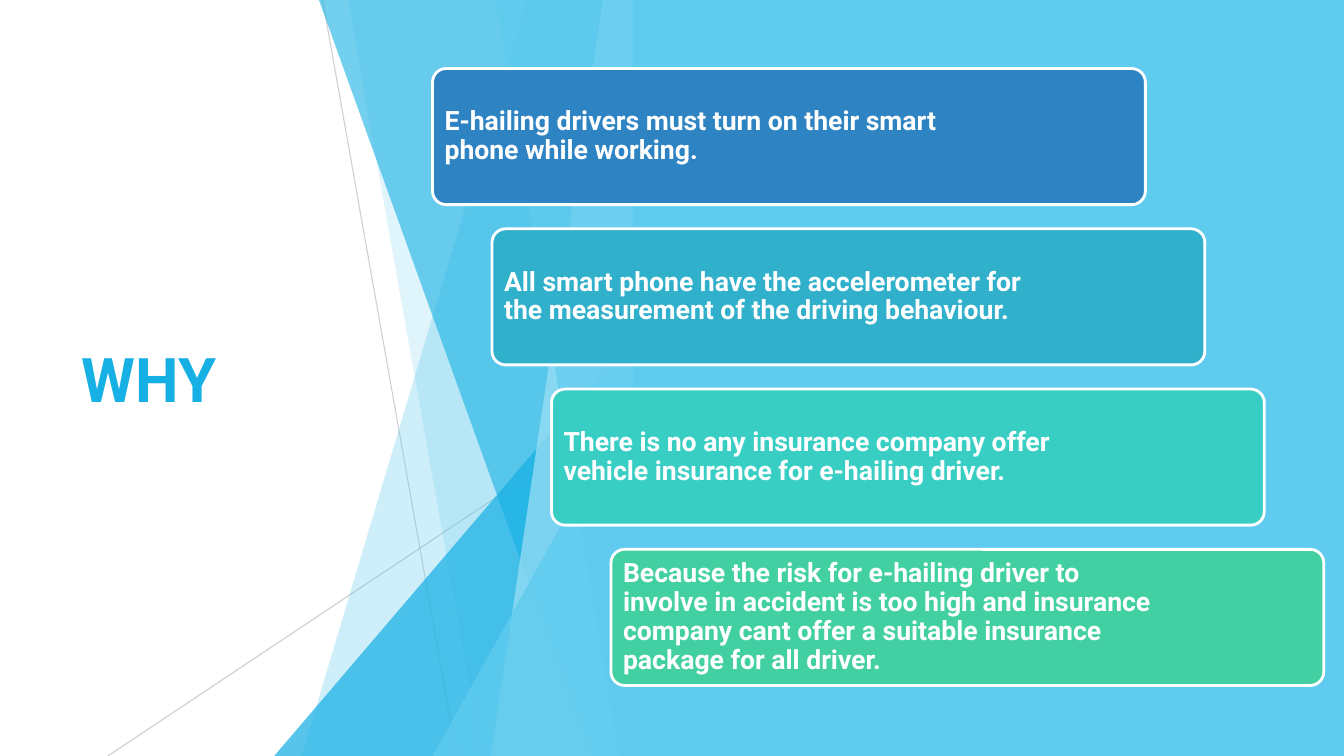
from lxml import etree
from pptx import Presentation, util as u
from pptx.dml.color import RGBColor
from pptx.enum import shapes, text
from pptx.oxml.ns import qn

COLORS = {
    "white": "FFFFFF", "rule": "BFBFBF", "sky": "5FCBEF", "azure": "17B0E4",
    "pale": "9FE0F5", "blue": "2E83C3", "teal": "31B0CB",
    "turquoise": "39CEC4", "green": "42D0A2",
}
WIDTH, HEIGHT = 13.33, 7.5
PANEL_LEFT = 6.28
FACET_TOP = -0.01

RULES = [((3.2, 0), (4.53, HEIGHT), 75), ((PANEL_LEFT, 4.03), (1.07, HEIGHT), 80)]
FACETS = [
    ("band", 5.23, 2.99, "sky", 30),
    ("band", 3.45, 4.78, "sky", 20),
    ("wedge", 3.33, 2.72, "azure", 72),
    ("band", 3.16, 5.86, "azure", 60),
    ("band", 5.98, 4.87, "pale", 70),
    ("band", 4.91, 6.13, "sky", 65),
    ("wedge", 3.93, 4.29, "sky", 80),
]
REASONS = [
    ("blue", "E-hailing drivers must turn on their smart phone while working."),
    ("teal", "All smart phone have the accelerometer for the measurement of the driving behaviour."),
    ("turquoise", "There is no any insurance company offer vehicle insurance for e-hailing driver."),
    ("green", "Because the risk for e-hailing driver to involve in accident is too high and "
              "insurance company cant offer a suitable insurance package for all driver."),
]


class SlideBuilder:
    """Draws styled elements on one slide."""

    font_name = "Roboto"

    def __init__(self, slide):
        self.shapes = slide.shapes

    def paint(self, color_format, color, opacity=100):
        color_format.rgb = RGBColor.from_string(COLORS[color])
        if opacity < 100:
            hex_color = color_format._xFill.find(qn("a:srgbClr"))
            etree.SubElement(hex_color, qn("a:alpha"), val=str(opacity * 1000))

    def fill(self, shape, color, opacity=100):
        shape.shadow.inherit = False
        shape.fill.solid()
        self.paint(shape.fill.fore_color, color, opacity)
        shape.line.fill.background()

    def rule(self, start, end, opacity):
        rule = self.shapes.add_connector(
            shapes.MSO_CONNECTOR.STRAIGHT, *map(u.Inches, start + end))
        rule.line.width = u.Pt(0.75)
        rule.line.fill.solid()
        self.paint(rule.line.fill.fore_color, "rule", opacity)
        etree.SubElement(rule._element.spPr, qn("a:effectLst"))

    def band(self, top_left, bottom_left, color, opacity):
        corners = [(top_left, FACET_TOP), (PANEL_LEFT, FACET_TOP),
                   (PANEL_LEFT, HEIGHT), (bottom_left, HEIGHT)]
        first, *others = [(u.Inches(x), u.Inches(y)) for x, y in corners]
        outline = self.shapes.build_freeform(*first)
        outline.add_line_segments(others, close=True)
        self.fill(outline.convert_to_shape(), color, opacity)

    def wedge(self, top, left, color, opacity):
        wedge = self.block(shapes.MSO_SHAPE.ISOSCELES_TRIANGLE, left, top,
                           PANEL_LEFT - left, HEIGHT - top, color, opacity)
        wedge.adjustments[0] = 1

    def block(self, preset, left, top, width, height, color, opacity=100):
        block = self.shapes.add_shape(
            preset, *map(u.Inches, (left, top, width, height)))
        self.fill(block, color, opacity)
        return block

    def card(self, left, top, color, reason):
        card = self.block(shapes.MSO_SHAPE.ROUNDED_RECTANGLE,
                          left, top, 7.07, 1.35, color)
        card.adjustments[0] = 0.1
        card.line.width = u.Pt(2)
        card.line.fill.solid()
        self.paint(card.line.fill.fore_color, "white")
        label = self.label(left + 0.04, top + 0.04, 5.53, 1.27, reason, 19, "white", 0.08)
        label.line_spacing = 0.9
        label.space_after = u.Pt(6.65)

    def label(self, left, top, width, height, wording, size, color, side_inset=0.1):
        frame = self.shapes.add_textbox(
            *map(u.Inches, (left, top, width, height))).text_frame
        frame.word_wrap = True
        frame.vertical_anchor = text.MSO_ANCHOR.MIDDLE
        frame.margin_left = frame.margin_right = u.Inches(side_inset)
        frame.margin_top = frame.margin_bottom = u.Inches(0.08)
        frame.text = wording
        paragraph = frame.paragraphs[0]
        font = paragraph.runs[0].font
        font.name, font.size, font.bold = self.font_name, u.Pt(size), True
        font.color.rgb = RGBColor.from_string(COLORS[color])
        return paragraph


def main():
    deck = Presentation()
    deck.slide_width, deck.slide_height = u.Inches(WIDTH), u.Inches(HEIGHT)
    why = SlideBuilder(deck.slides.add_slide(deck.slide_layouts[6]))

    for start, end, opacity in RULES:
        why.rule(start, end, opacity)
    for kind, *facet in FACETS:
        draw = why.band if kind == "band" else why.wedge
        draw(*facet)

    why.label(0.71, 1.51, 3.88, 4.48, "WHY", 44, "azure")
    why.block(shapes.MSO_SHAPE.RECTANGLE, PANEL_LEFT, 0,
              WIDTH - PANEL_LEFT, HEIGHT, "sky")
    for step, (color, reason) in enumerate(REASONS):
        why.card(4.29 + 0.59 * step, 0.68 + 1.59 * step, color, reason)

    deck.save("out.pptx")


if __name__ == "__main__":
    main()
